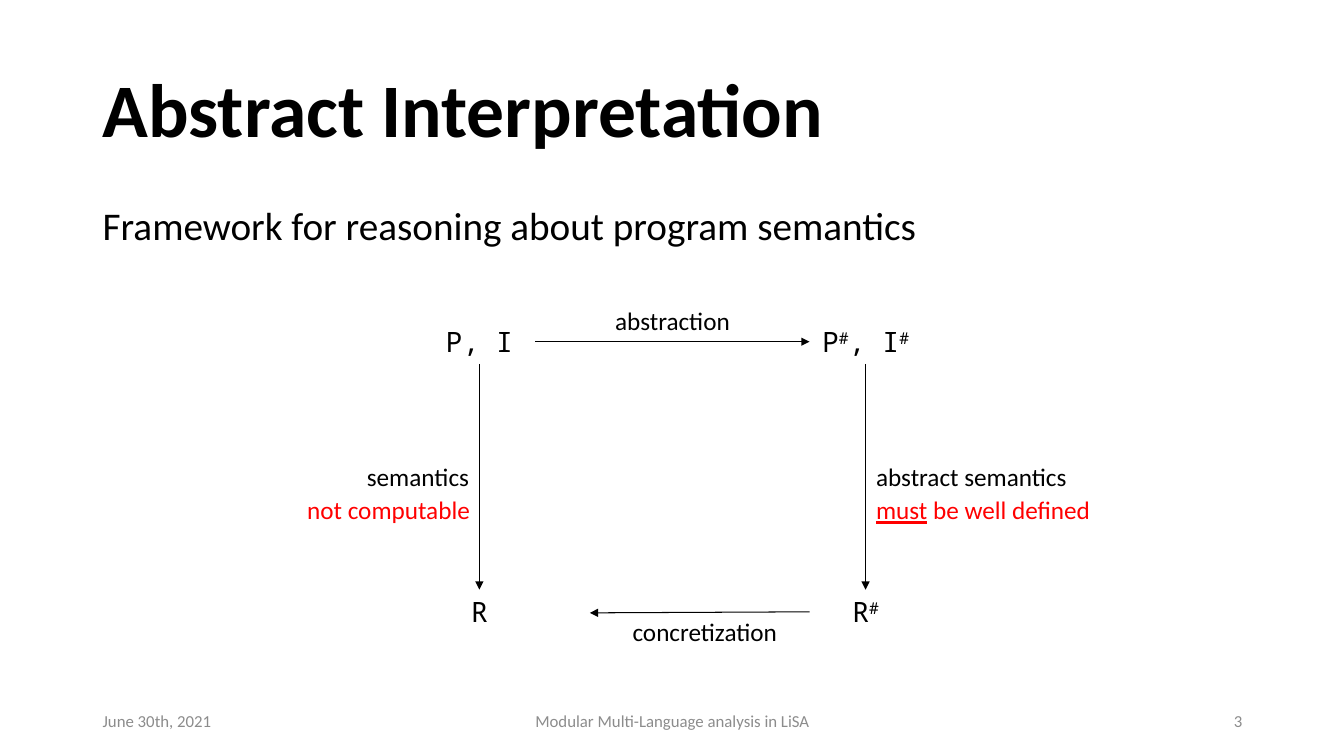
from dataclasses import dataclass

from lxml import etree
from pptx import Presentation
from pptx import util as u
from pptx.dml.color import RGBColor
from pptx.enum import shapes, text
from pptx.oxml import ns

COLORS = {"ink": "000000", "alert": "FF0000", "footer": "8C8C8C"}
SANS, MONO = "Calibri", "Noto Sans Mono"
LEFT, CENTER, RIGHT = text.PP_ALIGN.LEFT, text.PP_ALIGN.CENTER, text.PP_ALIGN.RIGHT
TOP, MIDDLE = text.MSO_ANCHOR.TOP, text.MSO_ANCHOR.MIDDLE
COL_CONCRETE, COL_ABSTRACT = 4.2, 8.03
ROW_PROGRAM, ROW_RESULT = 3.17, 5.85
NODE_W, NODE_H = 1.11, 0.44
FOOTER_Y = 6.95


@dataclass
class Piece:
    text: str
    superscript: bool = False
    underline: bool = False


@dataclass
class Label:
    pieces: list[Piece]
    x: float
    y: float
    w: float
    h: float = 0.4
    size: float = 18
    align: text.PP_ALIGN = LEFT
    color: str = "ink"
    font: str = SANS
    bold: bool = False
    anchor: text.MSO_ANCHOR = TOP
    spacing: float = 1.0


@dataclass
class Node:
    name: str
    pieces: list[Piece]
    x: float
    y: float


@dataclass
class Arrow:
    start: str
    start_site: int
    end: str
    end_site: int


LABELS = [
    Label([Piece("Abstract Interpretation")], 0.92, 0.4, 11.5, 1.45, 54,
          bold=True, anchor=MIDDLE, spacing=0.9),
    Label([Piece("Framework for reasoning about program semantics")],
          0.92, 2, 11.5, 4.76, 28, spacing=0.9),
    Label([Piece("semantics")], 3.24, 4.53, 1.51, align=RIGHT),
    Label([Piece("not computable")], 2.81, 4.86, 1.95, align=RIGHT, color="alert"),
    Label([Piece("abstract semantics")], 8.59, 4.53, 2.15),
    Label([Piece("must", underline=True), Piece(" be well defined")],
          8.59, 4.86, 2.38, color="alert"),
    Label([Piece("abstraction")], 5.94, 2.98, 1.46, align=CENTER),
    Label([Piece("concretization")], 6.15, 6.07, 1.68, align=CENTER),
    Label([Piece("June 30th, 2021")], 0.92, FOOTER_Y, 3, size=12,
          color="footer", anchor=MIDDLE),
    Label([Piece("Modular Multi-Language analysis in LiSA")], 4.42, FOOTER_Y, 4.5,
          size=12, align=CENTER, color="footer", anchor=MIDDLE),
    Label([Piece("3")], 9.42, FOOTER_Y, 3, size=12, align=RIGHT,
          color="footer", anchor=MIDDLE),
]

SHARP = Piece("#", superscript=True)
NODES = [
    Node("program", [Piece("P, I")], COL_CONCRETE, ROW_PROGRAM),
    Node("result", [Piece("R")], COL_CONCRETE, ROW_RESULT),
    Node("abstract program", [Piece("P"), SHARP, Piece(", I"), SHARP],
         COL_ABSTRACT, ROW_PROGRAM),
    Node("abstract result", [Piece("R"), SHARP], COL_ABSTRACT, ROW_RESULT),
]

ARROWS = [
    Arrow("program", 2, "result", 0),
    Arrow("abstract program", 2, "abstract result", 0),
    Arrow("program", 3, "abstract program", 1),
]


def add_label(s, label: Label):
    sp = s.shapes.add_textbox(u.Inches(label.x), u.Inches(label.y),
                              u.Inches(label.w), u.Inches(label.h))
    tf = sp.text_frame
    tf.word_wrap = True
    tf.vertical_anchor = label.anchor
    p = tf.paragraphs[0]
    p.text = label.pieces[0].text
    for piece in label.pieces[1:]:
        p.add_run().text = piece.text
    p.alignment = label.align
    p.line_spacing = label.spacing
    for r, piece in zip(p.runs, label.pieces):
        r.font.size = u.Pt(label.size)
        r.font.name = label.font
        r.font.bold = label.bold
        r.font.underline = piece.underline
        r.font.color.rgb = RGBColor.from_string(COLORS[label.color])
        if piece.superscript:
            r._r.get_or_add_rPr().set("baseline", "30000")
    return sp


def add_node(s, node: Node):
    return add_label(s, Label(node.pieces, node.x, node.y, NODE_W, NODE_H, 20,
                              CENTER, font=MONO))


def add_arrow(s, x1: float = 0, y1: float = 0, x2: float = 0, y2: float = 0):
    line = s.shapes.add_connector(shapes.MSO_CONNECTOR.STRAIGHT, u.Inches(x1),
                                  u.Inches(y1), u.Inches(x2), u.Inches(y2))
    line.line.color.rgb = RGBColor.from_string(COLORS["ink"])
    line.line.width = u.Pt(0.75)
    etree.SubElement(line.line._get_or_add_ln(), ns.qn("a:tailEnd"), type="triangle")
    etree.SubElement(line._element.spPr, ns.qn("a:effectLst"))
    return line


def main() -> None:
    prs = Presentation()
    prs.slide_width, prs.slide_height = u.Inches(13.33), u.Inches(7.5)
    s = prs.slides.add_slide(prs.slide_layouts[6])
    for label in LABELS:
        add_label(s, label)
    boxes = {node.name: add_node(s, node) for node in NODES}
    for arrow in ARROWS:
        line = add_arrow(s)
        line.begin_connect(boxes[arrow.start], arrow.start_site)
        line.end_connect(boxes[arrow.end], arrow.end_site)
    concretization = add_arrow(s, COL_ABSTRACT, 6.07, 5.85, 6.08)
    concretization.begin_connect(boxes["abstract result"], 1)
    prs.save("out.pptx")


if __name__ == "__main__":
    main()
